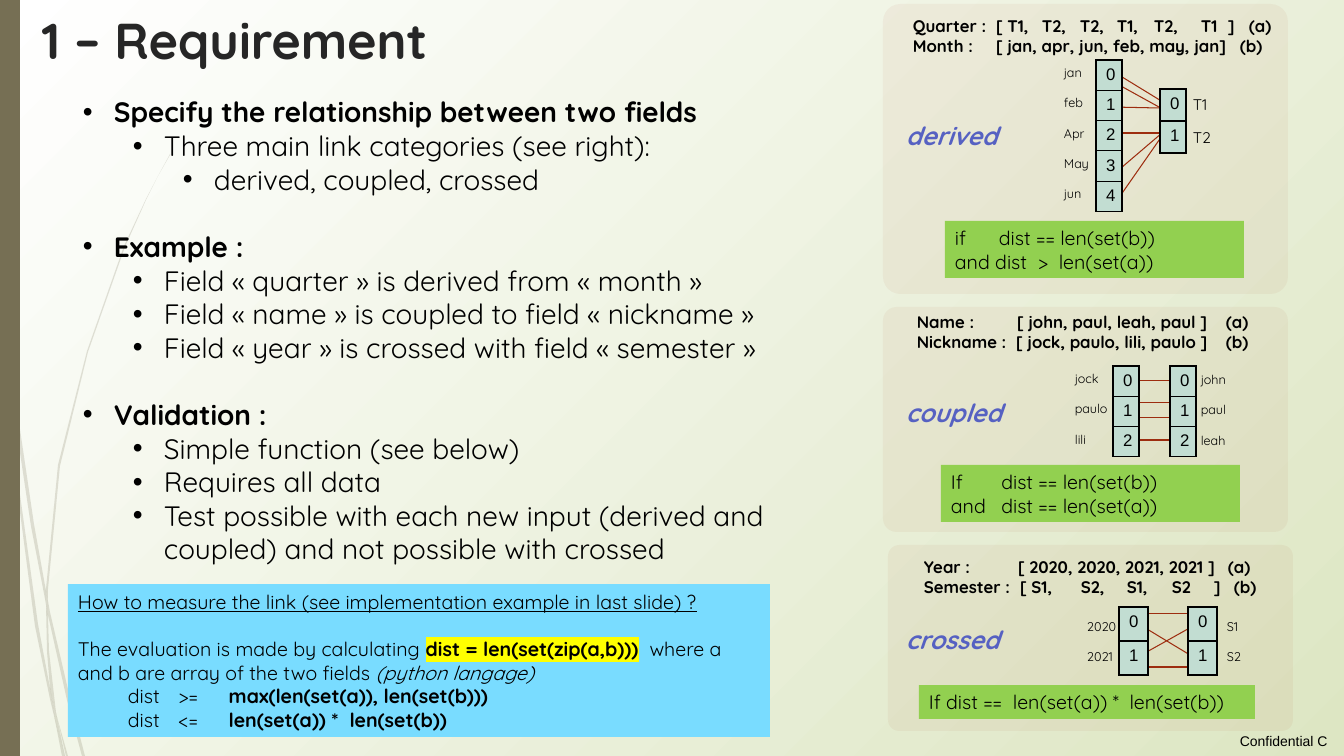
from lxml import etree
from pptx import Presentation
from pptx import util as u
from pptx.dml.color import RGBColor
from pptx.enum import shapes, text
from pptx.oxml.ns import qn

SCALE = 914400 / 100.8
FONT = "Quicksand"
BLACK, OLIVE, RUST, GREEN, SKY = "000000", "766F54", "A53010", "92D050", "79DCFF"
LINK, INDIGO, CELL = "9D2D0F", "5661C2", "C2DDD2"

# Grass blades: corner points in px
BLADES = [
    [(31, 526), (46, 604), (46, 591), (34, 524), (8, 348), (9, 379)],
    [(50, 612), (48, 601), (48, 615), (67, 700), (82, 756), (85, 756), (70, 698)],
    [(66, 756), (68, 756), (57, 717)],
    [(50, 688), (38, 624), (17, 473), (9, 379), (6, 353), (15, 474), (35, 626),
     (50, 699), (55, 720), (54, 713)],
    [(46, 604), (47, 651), (50, 688), (52, 698), (57, 717), (56, 712), (49, 651),
     (48, 615), (47, 613)],
    [(48, 589), (60, 466), (88, 352), (125, 247), (146, 200), (158, 176), (170, 155),
     (170, 154), (158, 176), (146, 199), (124, 246), (87, 351), (58, 465), (46, 589),
     (46, 591), (48, 601)],
    [(55, 720), (62, 756), (65, 756)],
    [(47, 613), (48, 615), (48, 601), (46, 591), (46, 604)],
    [(52, 698), (50, 688), (54, 713), (55, 720), (65, 756), (57, 717)],
]

# Outline: level, text
OUTLINE = [
    (0, "Specify the relationship between two fields"),
    (1, "Three main link categories (see right):"),
    (2, "derived, coupled, crossed"),
    (0, "Example :"),
    (1, "Field « quarter » is derived from « month »"),
    (1, "Field « name » is coupled to field « nickname »"),
    (1, "Field « year » is crossed with field « semester »"),
    (0, "Validation :"),
    (1, "Simple function (see below)"),
    (1, "Requires all data"),
    (1, "Test possible with each new input (derived and coupled) "
        "and not possible with crossed"),
]

# Link categories. fields: text, tab stops; tables: left, top, width, row height, rows;
# labels: left, top, size, words
CATEGORIES = [
    dict(name="derived", name_top=115, panel=(883, 4, 405, 290),
         fields_at=(903, 11, 384, 50),
         fields=[("Quarter :\t[ T1,\tT2,\tT2,\tT1,\tT2,\tT1\t]\t(a)",
                  (83, 129, 167, 204, 241, 288, 315, 336)),
                 ("Month :\t[ jan, apr, jun, feb, may, jan]\t(b)", (83, 327))],
         links=[(1109, 69, 1163, 102), (1110, 80, 1159, 107), (1112, 107, 1159, 108),
                (1109, 133, 1162, 133), (1114, 174, 1162, 133), (1109, 212, 1162, 136)],
         tables=[(1160, 89, 26, 32, 2), (1096, 60, 26, 30, 5)],
         labels=[(1054, 60, 9, ["jan", "feb", "Apr", "May", "jun"]),
                 (1183, 90, 11, ["T1", "T2"])],
         rule_at=(945, 221, 299, 57),
         rule=[("if\tdist == len(set(b))", (44,)), ("and dist  >  len(set(a))", ())]),
    dict(name="coupled", name_top=392, panel=(883, 307, 405, 225),
         fields_at=(907, 307, 374, 50),
         fields=[("Name :\t[ john, paul, leah, paul ]\t(a)", (100, 309)),
                 ("Nickname :\t[ jock, paulo, lili, paulo ]\t(b)", (99, 309))],
         links=[(1126, 381, 1178, 381), (1126, 403, 1179, 403),
                (1128, 418, 1181, 418), (1126, 440, 1178, 440)],
         tables=[(1113, 366, 26, 30, 3), (1170, 366, 26, 30, 3)],
         labels=[(1065, 366, 9, ["jock", "paulo", "lili"]),
                 (1191, 367, 9, ["john", "paul", "leah"])],
         rule_at=(941, 465, 299, 57),
         rule=[("If\tdist == len(set(b))", ()), ("and\tdist == len(set(a))", ())]),
    dict(name="crossed", name_top=619, panel=(888, 545, 405, 186),
         fields_at=(914, 552, 355, 50),
         fields=[("Year :\t[ 2020, 2020, 2021, 2021 ]\t(a)", (94, 304)),
                 ("Semester :\t[ S1,\tS2,\tS1,\tS2\t]\t(b)",
                  (96, 157, 203, 248, 290, 310))],
         links=[(1136, 614, 1188, 614), (1136, 658, 1195, 625),
                (1137, 623, 1195, 658), (1138, 667, 1190, 667)],
         tables=[(1119, 607, 29, 34, 2), (1188, 607, 29, 34, 2)],
         labels=[(1077, 614, 9, ["2020", "2021"]), (1217, 614, 9, ["S1", "S2"])],
         rule_at=(919, 685, 336, 34),
         rule=[("If dist ==  len(set(a)) *  len(set(b))", ())]),
]

# Measure box: space before, left margin, spans of (text, style)
MEASURE = [
    (0, 0, [("How to measure the link (see implementation example in last slide) ?",
             "underline")]),
    (16.8, 0, [("The evaluation is made by calculating ", ""),
               ("dist = len(set(zip(a,b)))", "marked"),
               ("  where a and b are array of the two fields ", ""),
               ("(python langage)", "italic")]),
    (0, 50, [("dist\t>=\t", ""), ("max(len(set(a)), len(set(b)))", "bold")]),
    (0, 50, [("dist\t<=\t", ""), ("len(set(a)) *  len(set(b))", "bold")]),
]


def px(*lengths):
    return [u.Emu(round(length * SCALE)) for length in lengths]


def color(code):
    return RGBColor.from_string(code)


def element(parent, tag, **attributes):
    return etree.SubElement(parent, qn(tag), {k: str(v) for k, v in attributes.items()})


def paint(shape, code, alpha=None):
    shape.shadow.inherit = False
    shape.line.fill.background()
    shape.fill.solid()
    shape.fill.fore_color.rgb = color(code)
    if alpha:
        solid = shape.fill._xPr.find(qn("a:solidFill"))
        element(solid[0], "a:alpha", val=alpha * 1000)


def block(place, code, kind=shapes.MSO_SHAPE.RECTANGLE, alpha=None):
    box = page.shapes.add_shape(kind, *px(*place))
    paint(box, code, alpha)
    box.text_frame.word_wrap = True
    return box


def textbox(place):
    box = page.shapes.add_textbox(*px(*place))
    box.text_frame.word_wrap = True
    return box


def add_line(box, words, size, bold=None, italic=None, ink=BLACK, font=FONT,
             tabs=(), before=0, margin=0, hang=0):
    """Add one paragraph to a box or cell, using its empty first one if free."""
    frame = box.text_frame
    para = frame.paragraphs[0]
    if para.runs:
        para = frame.add_paragraph()
    para.alignment = text.PP_ALIGN.LEFT
    props = para._p.get_or_add_pPr()
    if margin:
        props.set("marL", str(px(margin)[0]))
        props.set("indent", str(px(-hang)[0]))
    if hang:
        element(props, "a:buFont", typeface="Arial")
        element(props, "a:buChar", char="•")
    if tabs:
        stops = element(props, "a:tabLst")
        for stop in tabs:
            element(stops, "a:tab", pos=px(stop)[0], algn="l")
    para.space_before = u.Pt(before)
    para.font.name, para.font.size = font, u.Pt(size)
    para.font.bold, para.font.italic = bold, italic
    para.font.color.rgb = color(ink)
    for words, style in [(words, "")] if isinstance(words, str) else words:
        span = para.add_run()
        span.text = words
        if style in ("bold", "italic", "underline"):
            setattr(span.font, style, True)
        elif style == "marked":
            span.font.bold = True
            mark = element(span._r.get_or_add_rPr(), "a:highlight")
            element(mark, "a:srgbClr", val="FFFF00")
    return para


def add_link(x1, y1, x2, y2):
    link = page.shapes.add_connector(shapes.MSO_CONNECTOR.STRAIGHT, *px(x1, y1, x2, y2))
    link.line.color.rgb, link.line.width = color(LINK), u.Pt(0.75)
    element(link.line._get_or_add_ln(), "a:headEnd", type="stealth")
    element(link._element.spPr, "a:effectLst")


def add_index(left, top, width, height, count):
    table = page.shapes.add_table(count, 1, *px(left, top, width, height * count)).table
    table.first_row = table.horz_banding = False
    table.columns[0].width = px(width)[0]
    for number, row in enumerate(table.rows):
        row.height = px(height)[0]
        cell = row.cells[0]
        add_line(cell, str(number), 12, font="Arial")
        props = cell._tc.get_or_add_tcPr()
        for side in ("a:lnL", "a:lnR", "a:lnT", "a:lnB"):
            border = element(props, side, w=u.Pt(1))
            element(element(border, "a:solidFill"), "a:srgbClr", val=BLACK)
        cell.fill.solid()
        cell.fill.fore_color.rgb = color(CELL)


deck = Presentation()
deck.slide_width, deck.slide_height = px(1344, 756)
page = deck.slides.add_slide(deck.slide_layouts[6])

# Background: radial gradient from the top left corner
backdrop = page.background.fill
backdrop.gradient()
for stop, code, position in zip(backdrop.gradient_stops, ("FFFFFF", "DDE6C3"), (0, 1)):
    stop.color.rgb, stop.position = color(code), position
gradient = page._element.find(".//" + qn("a:gradFill"))
gradient.remove(gradient.find(qn("a:lin")))
circle = element(gradient, "a:path", path="circle")
element(circle, "a:fillToRect", r=100000, b=100000)

# Grass, side stripe and footer
for first, *others in BLADES:
    builder = page.shapes.build_freeform(*first, scale=SCALE)
    builder.add_line_segments(others)
    paint(builder.convert_to_shape(), OLIVE, 20)
block((0, 0, 20, 756), OLIVE)
add_line(textbox((1230, 728, 114, 28)), "Confidential C", 10, font="Arial")

# Title and outline
add_line(textbox((32, 4, 1123, 85)), "1 – Requirement", 36, bold=True, ink="262626")
outline = textbox((73, 90, 785, 485))
for index, (level, words) in enumerate(OUTLINE):
    heading = level == 0
    para = add_line(outline, words, 20, bold=heading, margin=31 + 50 * level, hang=31,
                    before=24 if heading and index else 0)
    para.level = level

# Link categories
for item in CATEGORIES:
    panel = block(item["panel"], RUST, shapes.MSO_SHAPE.ROUNDED_RECTANGLE, 5)
    panel.adjustments[0] = 0.06
    fields = textbox(item["fields_at"])
    for words, tabs in item["fields"]:
        add_line(fields, words, 12, bold=True, tabs=tabs)
    for ends in item["links"]:
        add_link(*ends)
    for place in item["tables"]:
        add_index(*place)
    for left, top, size, names in item["labels"]:
        labels = textbox((left, top, 68, 30 * len(names)))
        for index, name in enumerate(names):
            add_line(labels, name, size, before=10.8 if index else 0)
    add_line(textbox((896, item["name_top"], 128, 40)), item["name"], 18,
             bold=True, italic=True, ink=INDIGO)
    rule = block(item["rule_at"], GREEN)
    for words, tabs in item["rule"]:
        add_line(rule, words, 14, tabs=tabs)

# How to measure the link
measure = block((68, 584, 702, 153), SKY)
for before, margin, spans in MEASURE:
    add_line(measure, spans, 14, before=before, margin=margin)

deck.save("out.pptx")
